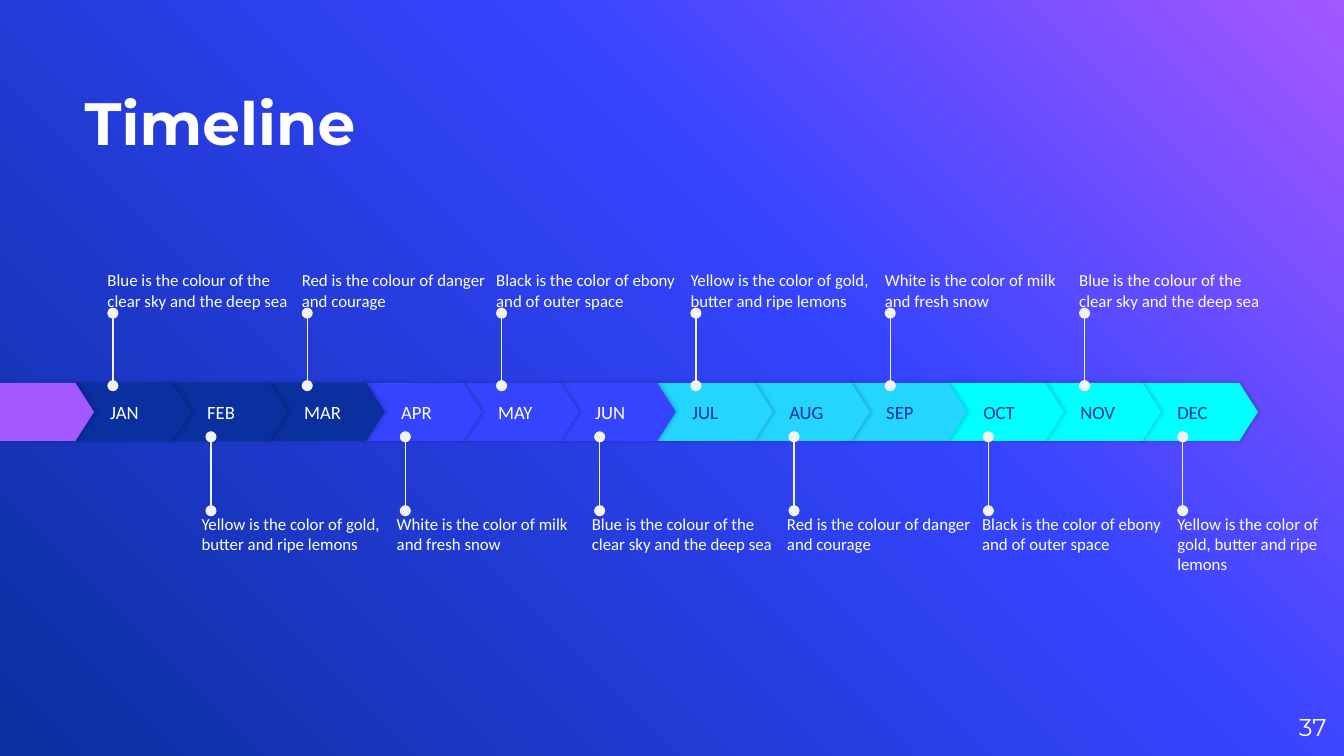
import pptx
import pptx.util
import pptx.dml.color
import pptx.enum.dml
import pptx.enum.shapes
import pptx.enum.text
import pptx.oxml
import pptx.oxml.ns

Inches = pptx.util.Inches
Pt = pptx.util.Pt
ANCHOR = pptx.enum.text.MSO_ANCHOR
NAMESPACE = pptx.oxml.ns.nsdecls("a")
COLORS = {
    "white": "FFFFFF",
    "line": "F3F3F3",
    "purple": "A458FF",
    "blue": "3544FF",
    "navy": "0A2F9E",
    "sky": "24D6FF",
    "cyan": "00FFFF",
}


def write_text(shape, text, size, font="Calibri", color="white", anchor=ANCHOR.TOP, inset=0):
    frame = shape.text_frame
    frame.word_wrap = True
    frame.vertical_anchor = anchor
    frame.margin_left = Inches(inset)
    frame.margin_top = frame.margin_right = frame.margin_bottom = 0
    paragraph = frame.paragraphs[0]
    paragraph.text = text
    paragraph.alignment = pptx.enum.text.PP_ALIGN.LEFT
    paragraph.font.size = Pt(size)
    paragraph.font.name = font
    paragraph.font.color.rgb = pptx.dml.color.RGBColor.from_string(COLORS[color])
    return paragraph


def add_arrow(page, left, width, color):
    arrow = page.shapes.add_shape(
        pptx.enum.shapes.MSO_SHAPE.PENTAGON, Inches(left), Inches(2.85), Inches(width), Inches(0.43)
    )
    arrow.adjustments[0] = 0.32
    arrow.fill.solid()
    arrow.fill.fore_color.rgb = pptx.dml.color.RGBColor.from_string(COLORS[color])
    arrow.line.fill.background()
    arrow._element.spPr.append(pptx.oxml.parse_xml(
        f'<a:effectLst {NAMESPACE}><a:outerShdw blurRad="{Pt(2.2)}" dist="{Pt(0.8)}" dir="0" '
        'algn="bl" rotWithShape="0"><a:srgbClr val="000000"><a:alpha val="20000"/></a:srgbClr>'
        '</a:outerShdw></a:effectLst>'
    ))
    return arrow


deck = pptx.Presentation()
deck.slide_width = Inches(10)
deck.slide_height = Inches(10 * 9 / 16)
page = deck.slides.add_slide(deck.slide_layouts[6])

background = page.background.fill
background.gradient()
background.gradient_angle = 225
stop_list = page._element.find(".//" + pptx.oxml.ns.qn("a:gsLst"))
for stop in list(stop_list):
    stop_list.remove(stop)
for position, color in [(0, "purple"), (39, "blue"), (100, "navy")]:
    stop_list.append(pptx.oxml.parse_xml(
        f'<a:gs {NAMESPACE} pos="{position * 1000}"><a:srgbClr val="{COLORS[color]}"/></a:gs>'
    ))

title = page.shapes.add_textbox(Inches(0.63), Inches(0.23), Inches(6.58), Inches(0.94))
write_text(title, "Timeline", 32, "Montserrat", anchor=ANCHOR.BOTTOM).font.bold = True

number = page.shapes.add_textbox(Inches(9.27), Inches(5.19), Inches(0.6), Inches(0.43))
paragraph = write_text(number, "37", 13, "Montserrat", anchor=ANCHOR.MIDDLE)
paragraph.alignment = pptx.enum.text.PP_ALIGN.RIGHT

months = ["JAN", "FEB", "MAR", "APR", "MAY", "JUN", "JUL", "AUG", "SEP", "OCT", "NOV", "DEC"]
quarters = [("navy", "white"), ("blue", "white"), ("sky", "navy"), ("cyan", "navy")]
for index in reversed(range(12)):
    fill_color, text_color = quarters[index // 3]
    arrow = add_arrow(page, 0.52 + index * 7.94 / 11, 0.9, fill_color)
    write_text(arrow, months[index], 10, color=text_color, anchor=ANCHOR.MIDDLE, inset=0.3)
add_arrow(page, 0, 0.7, "purple")

notes = [
    "Blue is the colour of the clear sky and the deep sea",
    "Red is the colour of danger and courage",
    "Black is the color of ebony and of outer space",
    "Yellow is the color of gold, butter and ripe lemons",
    "White is the color of milk and fresh snow",
]
rows = [
    (0, 0.84, 2.87, 2.33, 0.8, 7.23, 1.73, ANCHOR.BOTTOM),
    (3, 1.57, 3.8, 3.25, 1.5, 7.26, 3.82, ANCHOR.TOP),
]
for first_note, line_left, line_start, line_end, text_left, text_span, text_top, anchor in rows:
    for index in range(6):
        x = Inches(line_left + index * 7.23 / 5)
        pin = page.shapes.add_connector(
            pptx.enum.shapes.MSO_CONNECTOR.STRAIGHT, x, Inches(line_start), x, Inches(line_end)
        )
        pin.line.width = Pt(0.75)
        pin.line.color.rgb = pptx.dml.color.RGBColor.from_string(COLORS["line"])
        for end in ["headEnd", "tailEnd"]:
            pin.line._ln.append(pptx.oxml.parse_xml(
                f'<a:{end} {NAMESPACE} type="oval" w="med" len="med"/>'
            ))
        pin._element.spPr.append(pptx.oxml.parse_xml(f"<a:effectLst {NAMESPACE}/>"))

        is_last_below = anchor == ANCHOR.TOP and index == 5
        box = page.shapes.add_textbox(
            Inches(text_left + index * text_span / 5), Inches(text_top),
            Inches(1.13 if is_last_below else 1.37), Inches(0.58)
        )
        write_text(box, notes[(first_note + index) % 5], 9, anchor=anchor)

deck.save("out.pptx")
